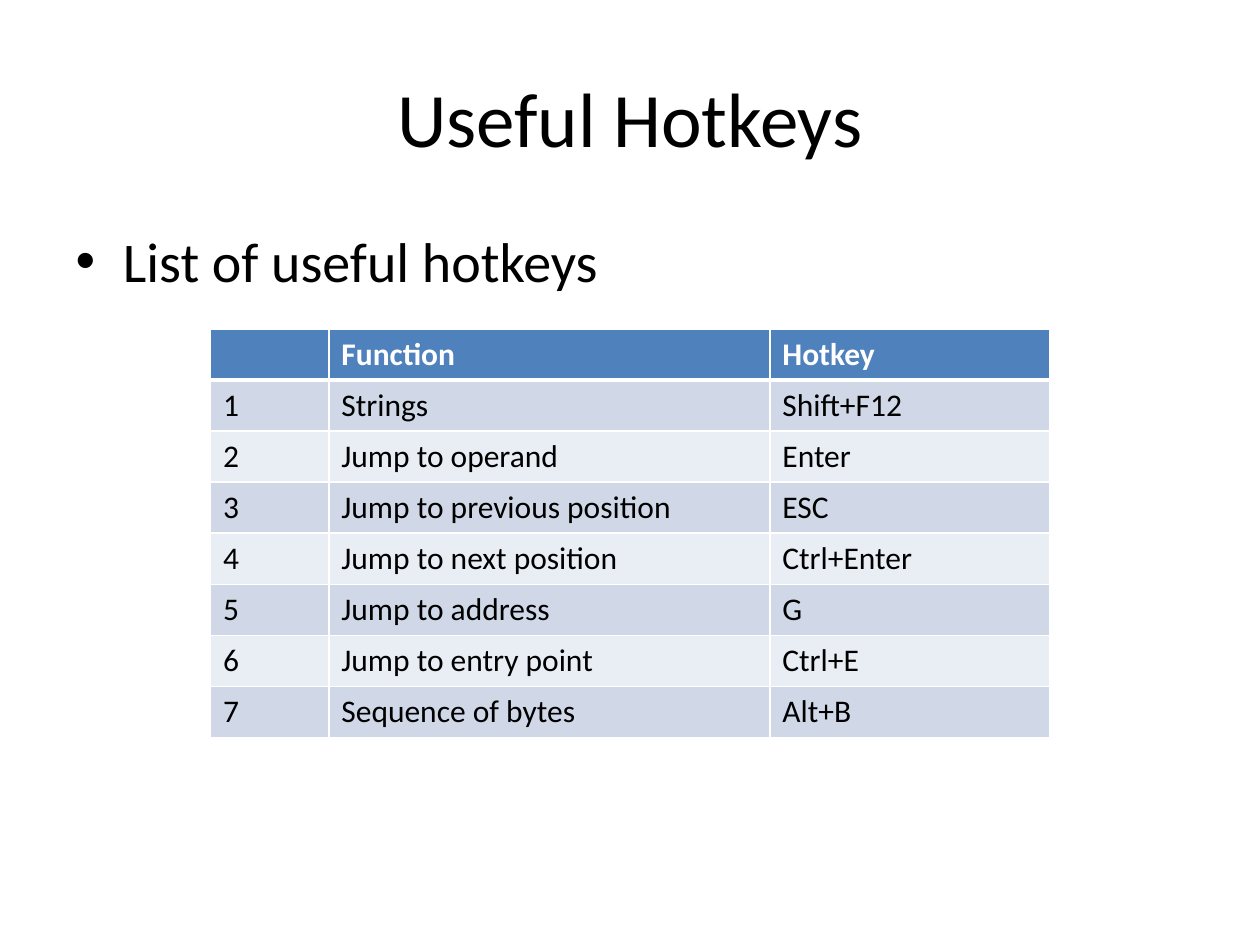
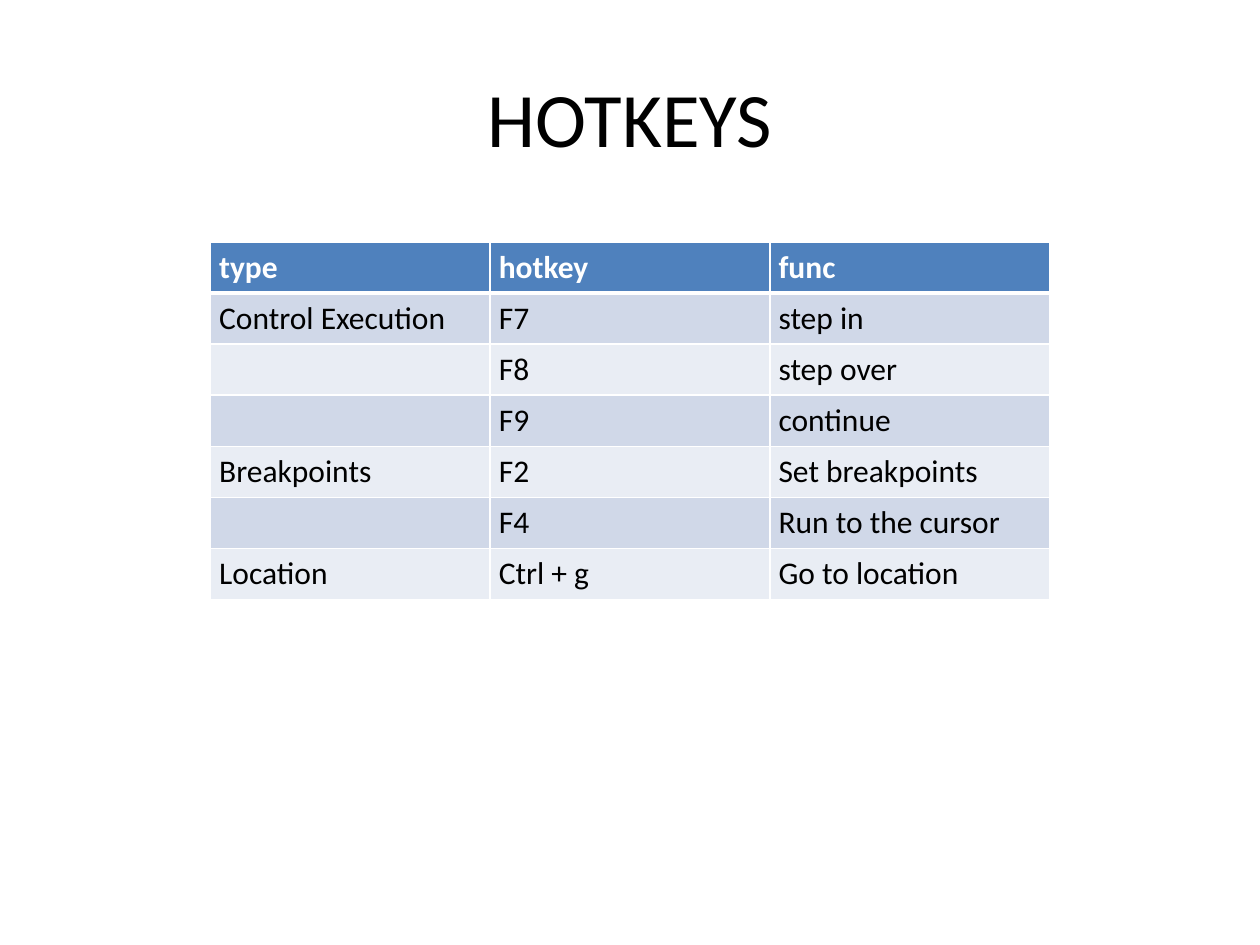
from lxml import etree
from pptx import Presentation
from pptx.dml.color import RGBColor
from pptx.enum.text import MSO_ANCHOR, PP_ALIGN
from pptx.oxml.ns import qn
from pptx.util import Inches, Pt

CENTER = PP_ALIGN.CENTER
LEFT = PP_ALIGN.LEFT
MIDDLE = MSO_ANCHOR.MIDDLE
LIST_PAGE, TITLE_PAGE = 1, 5  # layout numbers


class Deck:
    """Holds the shared style and the current slide."""

    font = "Calibri"
    hues = {
        "text": "000000",
        "head": "4F81BD",
        "odd": "D0D8E8",
        "even": "E9EDF4",
        "line": "FFFFFF",
    }

    def __init__(self):
        self.prs = Presentation()
        self.prs.slide_width = Inches(10)
        self.prs.slide_height = Inches(7.5)
        self.slide = None

    def color(self, name):
        return RGBColor.from_string(self.hues[name])

    def style(self, para, size, hue="text", bold=False, align=LEFT):
        para.alignment = align
        font = para.font
        font.name, font.size, font.bold = self.font, Pt(size), bold
        font.color.rgb = self.color(hue)

    def place(self, shape, left, top, width, height):
        shape.left, shape.top = Inches(left), Inches(top)
        shape.width, shape.height = Inches(width), Inches(height)

    def page(self, layout, title):
        self.slide = self.prs.slides.add_slide(self.prs.slide_layouts[layout])
        shape = self.slide.shapes.title
        self.place(shape, 0.5, 0.3, 9, 1.25)
        frame = shape.text_frame
        frame.text = title
        frame.vertical_anchor = MIDDLE
        self.style(frame.paragraphs[0], 44, align=CENTER)

    def body(self, text):
        shape = self.slide.placeholders[1]
        self.place(shape, 0.5, 1.75, 9, 4.95)
        shape.text_frame.text = text
        self.style(shape.text_frame.paragraphs[0], 32)

    def edge(self, cell, side, width):
        props = cell._tc.get_or_add_tcPr()
        line = etree.SubElement(props, qn("a:ln" + side), w=str(Pt(width)))
        fill = etree.SubElement(line, qn("a:solidFill"))
        etree.SubElement(fill, qn("a:srgbClr"), val=self.hues["line"])

    def table(self, top, height, widths, rows, inset=0.1):
        """Draw a banded table whose first row is the header."""
        grid = self.slide.shapes.add_table(
            len(rows), len(widths), Inches(1.67), Inches(top),
            Inches(sum(widths)), Inches(height)).table
        for col, width in zip(grid.columns, widths):
            col.width = Inches(width)
        for r, row in enumerate(rows):
            band = "head" if r == 0 else "odd" if r % 2 else "even"
            for c, text in enumerate(row):
                cell = grid.cell(r, c)
                cell.margin_left = cell.margin_right = Inches(inset)
                # Edges come before the fill; the header rule is thicker
                for side in "LRTB":
                    thick = (r, side) in ((0, "B"), (1, "T"))
                    self.edge(cell, side, 3 if thick else 1)
                cell.fill.solid()
                cell.fill.fore_color.rgb = self.color(band)
                cell.text = text
                self.style(cell.text_frame.paragraphs[0], 18,
                           "text" if r else "line", bold=r == 0)


def main():
    deck = Deck()

    # Slide 1: numbered hotkeys
    keys = [
        ("Strings", "Shift+F12"),
        ("Jump to operand", "Enter"),
        ("Jump to previous position", "ESC"),
        ("Jump to next position", "Ctrl+Enter"),
        ("Jump to address", "G"),
        ("Jump to entry point", "Ctrl+E"),
        ("Sequence of bytes", "Alt+B"),
    ]
    rows = [(str(n), *key) for n, key in enumerate(keys, 1)]
    deck.page(LIST_PAGE, "Useful Hotkeys")
    deck.body("List of useful hotkeys")
    deck.table(2.61, 3.24, [0.94, 3.5, 2.22],
               [("", "Function", "Hotkey"), *rows])

    # Slide 2: hotkeys by type
    deck.page(TITLE_PAGE, "HOTKEYS")
    deck.table(1.92, 2.84, [2.22] * 3, [
        ("type", "hotkey", "func"),
        ("Control Execution", "F7", "step in"),
        ("", "F8", "step over"),
        ("", "F9", "continue"),
        ("Breakpoints", "F2", "Set breakpoints"),
        ("", "F4", "Run to the cursor"),
        ("Location", "Ctrl + g", "Go to location"),
    ], inset=0.07)

    deck.prs.save("out.pptx")


if __name__ == "__main__":
    main()
